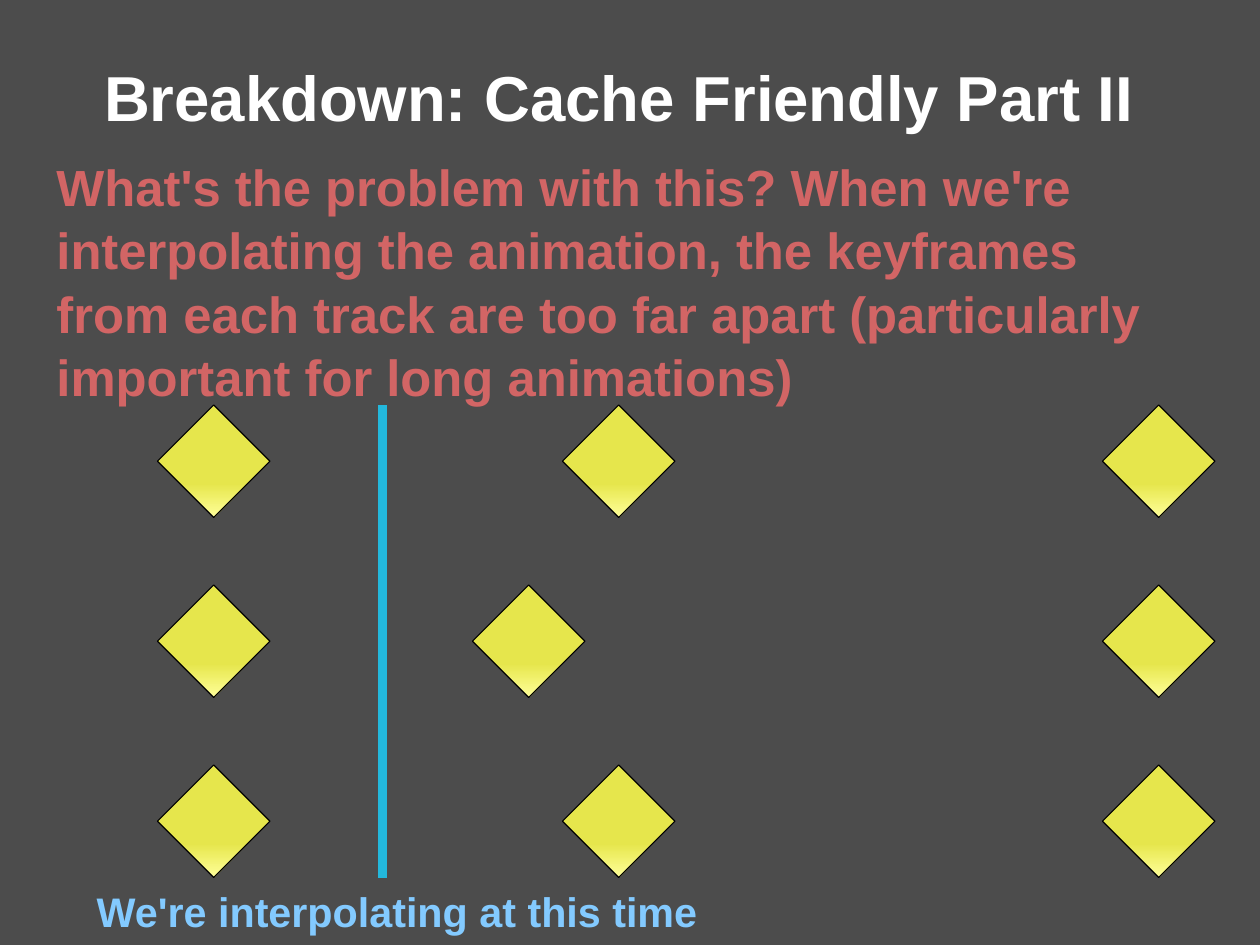
from dataclasses import dataclass

from lxml import etree
from pptx import Presentation
from pptx import util as u
from pptx.dml.color import RGBColor
from pptx.enum import shapes, text
from pptx.oxml.ns import qn

COLUMNS, ROWS = 28, 21  # the slide is a grid of one-centimetre cells
KEY_SIZE = 2.5
FIRST_TRACK, TRACK_STEP = 9, 4
PLAYHEAD_COLUMN = 8.5


@dataclass(frozen=True)
class Track:
    row: float
    key_columns: tuple[float, ...]


TRACKS = [
    Track(FIRST_TRACK + index * TRACK_STEP, (3.5, middle, 24.5))
    for index, middle in enumerate((12.5, 10.5, 12.5))
]


def cells(count: float) -> int:
    return u.Cm(count)


def color(value: str) -> RGBColor:
    return RGBColor.from_string(value)


def place(shape, column: float, row: float, width: float, height: float) -> None:
    shape.left, shape.top = cells(column), cells(row)
    shape.width, shape.height = cells(width), cells(height)


def write(box, words: str, *, size: float, ink: str, inset: float = 0.08,
          align=text.PP_ALIGN.LEFT, spacing: float = 1.0) -> None:
    """Fill a box with one bold, unbulleted paragraph; inset is the top margin in inches."""
    frame = box.text_frame
    frame.word_wrap = True
    frame.auto_size = text.MSO_AUTO_SIZE.NONE
    frame.vertical_anchor = text.MSO_ANCHOR.TOP
    frame.margin_left = frame.margin_right = u.Inches(0.1)
    frame.margin_top, frame.margin_bottom = u.Inches(inset), u.Inches(0.05)
    para = frame.paragraphs[0]
    para.alignment = align
    para.line_spacing = spacing
    para.space_before = u.Pt(0)
    properties = para._p.get_or_add_pPr()
    properties.set("marL", "0")
    properties.set("indent", "0")
    etree.SubElement(properties, qn("a:buNone"))
    span = para.add_run()
    span.text = words
    span.font.name, span.font.size, span.font.bold = "Arial", u.Pt(size), True
    span.font.color.rgb = color(ink)


def draw_keyframe(page, column: float, row: float) -> None:
    key = page.shapes.add_shape(
        shapes.MSO_SHAPE.DIAMOND,
        cells(column), cells(row), cells(KEY_SIZE), cells(KEY_SIZE))
    key.shadow.inherit = False
    key.fill.gradient()
    key.fill.gradient_angle = 270
    for stop, (position, tint) in zip(
            key.fill.gradient_stops, ((0.7, "E6E64C"), (1, "FFFF99"))):
        stop.position = position
        stop.color.rgb = color(tint)
    key.line.color.rgb = color("000000")
    key.line.width = u.Pt(0)


def draw_playhead(page, column: float, top: float, bottom: float) -> None:
    playhead = page.shapes.add_connector(
        shapes.MSO_CONNECTOR.STRAIGHT,
        cells(column), cells(top), cells(column), cells(bottom))
    playhead.line.color.rgb = color("23B8DC")
    playhead.line.width = u.Pt(6)
    etree.SubElement(playhead._element.spPr, qn("a:effectLst"))


def main() -> None:
    deck = Presentation()
    deck.slide_width, deck.slide_height = cells(COLUMNS), cells(ROWS)
    page = deck.slides.add_slide(deck.slide_layouts[1])
    page.background.fill.solid()
    page.background.fill.fore_color.rgb = color("4C4C4C")

    title, body = page.placeholders
    place(title, 1.5, 1, 24.5, 1.83)
    write(title, "Breakdown: Cache Friendly Part II", size=40, ink="FFFFFF",
          inset=0.11, align=text.PP_ALIGN.CENTER)
    place(body, 1, 3.2, 25.5, 5.3)
    write(body, "What's the problem with this? When we're interpolating the "
          "animation, the keyframes from each track are too far apart "
          "(particularly important for long animations)",
          size=32, ink="D26565", spacing=1.04)

    for track in TRACKS:
        for column in track.key_columns:
            draw_keyframe(page, column, track.row)

    tracks_end = TRACKS[-1].row + KEY_SIZE
    draw_playhead(page, PLAYHEAD_COLUMN, FIRST_TRACK, tracks_end)
    caption = page.shapes.add_textbox(
        cells(1.9), cells(tracks_end), cells(14.6), cells(1.8))
    write(caption, "We're interpolating at this time", size=26, ink="83CAFF")

    deck.save("out.pptx")


if __name__ == "__main__":
    main()
